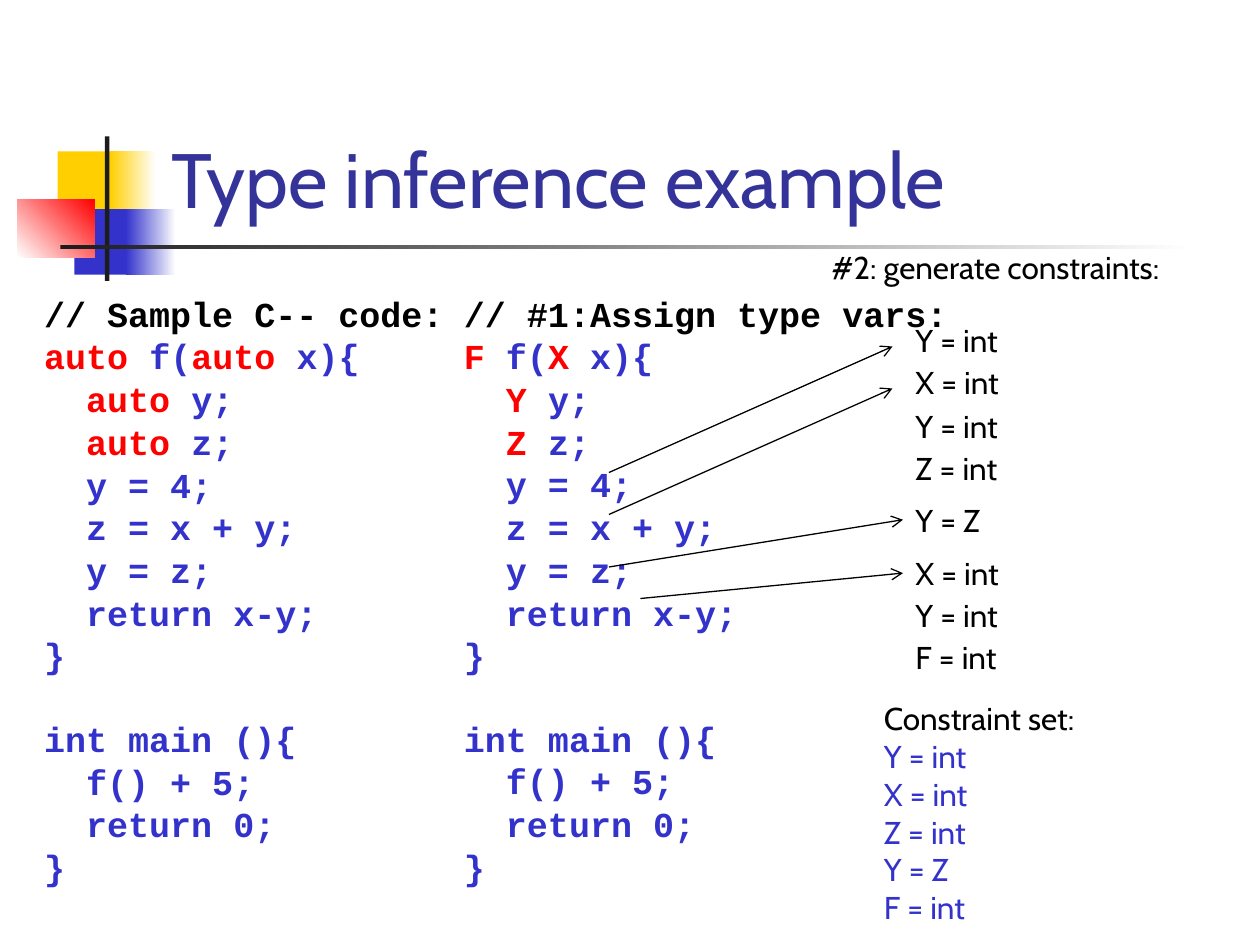
"""Build the type inference example slide."""
from dataclasses import dataclass

from lxml.etree import SubElement
from pptx import Presentation
from pptx.dml.color import RGBColor as Rgb
from pptx.enum.shapes import MSO_CONNECTOR as Connector, MSO_SHAPE as Shape
from pptx.enum.text import MSO_ANCHOR as Anchor, MSO_AUTO_SIZE as AutoSize, PP_ALIGN as Align
from pptx.oxml.ns import qn
from pptx.util import Pt


@dataclass(frozen=True)
class Theme:
    font: str = "Cabin"
    code_font: str = "Courier New"
    title_size: float = 44
    code_size: float = 20
    note_size: float = 18
    title: str = "333399"
    ink: str = "000000"
    code: str = "3333CC"
    accent: str = "FF0000"
    yellow: str = "FFCF01"
    bar: str = "1C1C1C"
    paper: str = "FFFFFF"
    code_gap: float = 5.2
    code_line: float = 23.3


class SlideBuilder:
    def __init__(self, slide, theme):
        self.slide = slide
        self.theme = theme

    def place(self, item, box):
        item.left, item.top, item.width, item.height = map(Pt, box)

    def run(self, paragraph, text, color, size, font, bold=False):
        run = paragraph.add_run()
        run.text = text
        run.font.name, run.font.size, run.font.bold = font, Pt(size), bold
        run.font.color.rgb = Rgb.from_string(color)

    def block(self, box, *colors, angle=0):
        block = self.slide.shapes.add_shape(Shape.RECTANGLE, *map(Pt, box))
        block.shadow.inherit = False
        block.line.fill.background()
        if len(colors) == 1:
            block.fill.solid()
            block.fill.fore_color.rgb = Rgb.from_string(colors[0])
            return
        block.fill.gradient()
        block.fill.gradient_angle = angle
        for stop, color in zip(block.fill.gradient_stops, colors):
            stop.color.rgb = Rgb.from_string(color)

    def title(self, text, box):
        heading = self.slide.shapes.title
        self.place(heading, box)
        frame = heading.text_frame
        frame.auto_size, frame.vertical_anchor = AutoSize.NONE, Anchor.BOTTOM
        frame.paragraphs[0].alignment = Align.LEFT
        self.run(frame.paragraphs[0], text, self.theme.title, self.theme.title_size, self.theme.font)

    def code(self, holder, box, heading, sections):
        """Write code sections; every second part of a line split at | is accented."""
        theme = self.theme
        self.place(holder, box)
        frame = holder.text_frame
        frame.word_wrap, frame.auto_size = True, AutoSize.NONE
        frame.vertical_anchor = Anchor.TOP
        self.code_line(frame.paragraphs[0], [(heading, theme.ink)], 0)
        for section_index, section in enumerate(sections):
            for line_index, line in enumerate(section):
                opens_section = section_index and not line_index
                gap = theme.code_gap + (theme.code_line if opens_section else 0)
                parts = [(part, (theme.code, theme.accent)[index % 2])
                         for index, part in enumerate(line.split("|")) if part]
                self.code_line(frame.add_paragraph(), parts, gap)

    def code_line(self, paragraph, parts, gap):
        properties = paragraph._p.get_or_add_pPr()
        properties.set("marL", str(Pt(27)))
        properties.set("indent", str(Pt(-27)))
        SubElement(properties, qn("a:buNone"))
        paragraph.alignment = Align.LEFT
        paragraph.line_spacing, paragraph.space_before = 0.8, Pt(gap)
        for text, color in parts:
            self.run(paragraph, text, color, self.theme.code_size, self.theme.code_font, True)

    def note(self, box, heading, items=()):
        theme = self.theme
        frame = self.slide.shapes.add_textbox(*map(Pt, box)).text_frame
        frame.word_wrap, frame.auto_size = True, AutoSize.SHAPE_TO_FIT_TEXT
        self.run(frame.paragraphs[0], heading, theme.ink, theme.note_size, theme.font)
        for item in items:
            self.run(frame.add_paragraph(), item, theme.code, theme.note_size, theme.font)

    def arrow(self, start, end):
        arrow = self.slide.shapes.add_connector(Connector.STRAIGHT, *map(Pt, start + end))
        arrow.line.width = Pt(0.75)
        arrow.line.color.rgb = Rgb.from_string(self.theme.ink)
        SubElement(arrow.line._get_or_add_ln(), qn("a:tailEnd"), type="arrow")
        SubElement(arrow._element.spPr, qn("a:effectLst"))


def main():
    deck = Presentation()
    deck.slide_width, deck.slide_height = Pt(720), Pt(540)
    slide = deck.slides.add_slide(deck.slide_layouts[1])
    theme = Theme()
    builder = SlideBuilder(slide, theme)

    builder.block((33, 86.5, 35, 37.5), theme.yellow)
    builder.block((63, 86.5, 26, 37.5), theme.yellow, theme.paper)
    builder.block((42.5, 119.5, 33, 37.5), theme.code)
    builder.block((72, 119.5, 28.5, 37.5), theme.code, theme.paper)
    builder.block((10, 114, 44, 33), theme.paper, theme.accent, angle=45)
    builder.block((60, 78, 2.5, 82.5), theme.bar)
    builder.block((34.5, 140, 648, 2.5), theme.bar, theme.paper)
    builder.title("Type inference example", (91, 16.5, 613, 115))

    shared_body = ["  y = 4;", "  z = x + y;", "  y = z;", "  return x-y;", "}"]
    main_function = ["int main (){", "  f() + 5;", "  return 0;", "}"]
    sample = ["|auto| f(|auto| x){", "  |auto| y;", "  |auto| z;"]
    assigned = ["|F |f(|X| x){", "  |Y |y;", "  |Z |z;"]
    builder.code(slide.placeholders[1], (18, 168, 255, 324), "// Sample C-- code:",
                 [sample + shared_body, main_function])
    assigned_column = slide.shapes.add_textbox(0, 0, 0, 0)
    builder.code(assigned_column, (258, 168, 312, 324), "// #1:Assign type vars:",
                 [assigned + shared_body, main_function])

    constraints = [(180, "Y = int"), (204, "X = int"), (229, "Y = int"), (253, "Z = int"),
                   (283, "Y = Z"), (313, "X = int"), (337, "Y = int"), (361, "F = int")]
    for top, constraint in constraints:
        builder.note((516, top, 180, 29), constraint)
    for start, end in [((348, 270), (510, 198)), ((348, 294), (510, 222)),
                       ((348, 324), (516, 297)), ((366, 342), (516, 327.5))]:
        builder.arrow(start, end)

    builder.note((468, 138, 228, 29), "#2: generate constraints:")
    builder.note((498, 396, 180, 138), "Constraint set:",
                 ["Y = int", "X = int", "Z = int", "Y = Z", "F = int"])
    deck.save("out.pptx")


if __name__ == "__main__":
    main()
